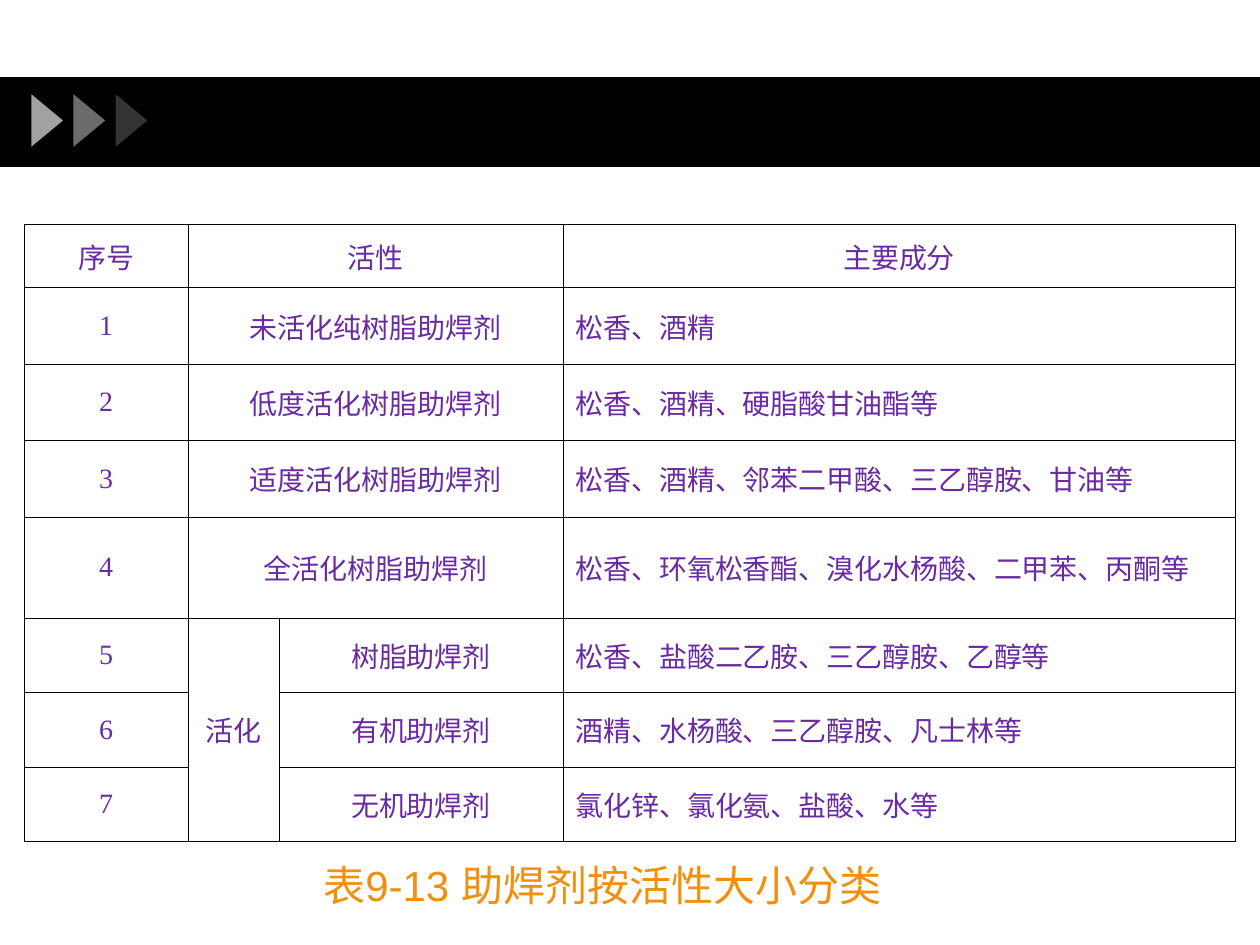
"""Build the slide that classifies soldering fluxes by activity."""
import dataclasses

import lxml.etree
import pptx
import pptx.dml.color
import pptx.enum.shapes
import pptx.enum.text
import pptx.oxml.ns
import pptx.util

Cm = pptx.util.Cm
Shape = pptx.enum.shapes.MSO_SHAPE
Align = pptx.enum.text.PP_ALIGN
Anchor = pptx.enum.text.MSO_ANCHOR
qn = pptx.oxml.ns.qn


@dataclasses.dataclass(frozen=True)
class Theme:
    band: str = "000000"
    arrow: str = "C0C0C0"
    rule: str = "000000"
    table_text: str = "692AA2"
    caption_text: str = "F1900F"
    table_font: str = "Times New Roman"
    caption_font: str = "Arial"
    table_size: int = 16
    caption_size: int = 24
    thin: float = 0.34
    thick: float = 0.96


def rgb(color):
    return pptx.dml.color.RGBColor.from_string(color)


def write_text(frame, text, *, font, size, color, align=Align.LEFT):
    para = frame.paragraphs[0]
    para.alignment = align
    span = para.add_run()
    span.text = text
    span.font.name = font
    span.font.size = pptx.util.Pt(size)
    span.font.color.rgb = rgb(color)


class SlideBuilder:
    def __init__(self, page, theme):
        self.page = page
        self.theme = theme

    def shape(self, kind, left, top, width, height, color, rotation=0, alpha=None):
        shape = self.page.shapes.add_shape(kind, Cm(left), Cm(top), Cm(width), Cm(height))
        shape.shadow.inherit = False
        shape.rotation = rotation
        shape.fill.solid()
        shape.fill.fore_color.rgb = rgb(color)
        shape.line.fill.background()
        if alpha is not None:
            tint = shape.fill._xPr.find(".//" + qn("a:srgbClr"))
            lxml.etree.SubElement(tint, qn("a:alpha"), val=str(alpha * 1000))
        return shape

    def border(self, cell, side, width):
        properties = cell._tc.get_or_add_tcPr()
        line = lxml.etree.SubElement(properties, qn("a:ln" + side), w=str(pptx.util.Pt(width)))
        fill = lxml.etree.SubElement(line, qn("a:solidFill"))
        lxml.etree.SubElement(fill, qn("a:srgbClr"), val=self.theme.rule)

    def table(self, left, top, widths, heights, rows, merges):
        theme = self.theme
        table = self.page.shapes.add_table(
            len(heights), len(widths), Cm(left), Cm(top), Cm(sum(widths)), Cm(sum(heights))
        ).table
        table.first_row = table.horz_banding = False
        for column, width in zip(table.columns, widths):
            column.width = Cm(width)
        for row, height in zip(table.rows, heights):
            row.height = Cm(height)
        last_row, last_column = len(heights) - 1, len(widths) - 1
        for i, texts in enumerate(rows):
            for j, text in enumerate(texts):
                cell = table.cell(i, j)
                bottom_row = merges.get((i, j), (i, j))[0]
                outer = {"T": i == 0, "B": bottom_row == last_row}
                for side in "LRTB":
                    self.border(cell, side, theme.thick if outer.get(side) else theme.thin)
                cell.fill.background()
                cell.vertical_anchor = Anchor.MIDDLE
                if text:
                    centred = i == 0 or j < last_column
                    write_text(cell.text_frame, text, font=theme.table_font,
                               size=theme.table_size, color=theme.table_text,
                               align=Align.CENTER if centred else Align.LEFT)
        for first, last in merges.items():
            table.cell(*first).merge(table.cell(*last))

    def caption(self, left, top, width, height, text):
        box = self.page.shapes.add_textbox(Cm(left), Cm(top), Cm(width), Cm(height))
        box.text_frame.word_wrap = False
        box.text_frame.vertical_anchor = Anchor.MIDDLE
        write_text(box.text_frame, text, font=self.theme.caption_font,
                   size=self.theme.caption_size, color=self.theme.caption_text,
                   align=Align.CENTER)


FLUXES = [
    ("序号", "活性", "", "主要成分"),
    ("1", "未活化纯树脂助焊剂", "", "松香、酒精"),
    ("2", "低度活化树脂助焊剂", "", "松香、酒精、硬脂酸甘油酯等"),
    ("3", "适度活化树脂助焊剂", "", "松香、酒精、邻苯二甲酸、三乙醇胺、甘油等"),
    ("4", "全活化树脂助焊剂", "", "松香、环氧松香酯、溴化水杨酸、二甲苯、丙酮等"),
    ("5", "活化", "树脂助焊剂", "松香、盐酸二乙胺、三乙醇胺、乙醇等"),
    ("6", "", "有机助焊剂", "酒精、水杨酸、三乙醇胺、凡士林等"),
    ("7", "", "无机助焊剂", "氯化锌、氯化氨、盐酸、水等"),
]


def main():
    deck = pptx.Presentation()
    deck.slide_width, deck.slide_height = Cm(25.4), Cm(19.05)
    theme = Theme()
    builder = SlideBuilder(deck.slides.add_slide(deck.slide_layouts[6]), theme)

    band = builder.shape(Shape.RECTANGLE, 0, 1.56, 25.4, 1.8, theme.band)
    band.line.color.rgb = rgb(theme.band)
    band.line.width = pptx.util.Pt(0.75)
    for index, alpha in enumerate((84, 56, 27)):
        builder.shape(Shape.ISOSCELES_TRIANGLE, 0.42 + 0.85 * index, 2.11, 1.06, 0.64,
                      theme.arrow, rotation=90, alpha=alpha)

    merges = {(i, 1): (i, 2) for i in range(5)}
    merges[5, 1] = (7, 1)
    builder.table(0.49, 4.53, (3.3, 1.83, 5.73, 13.55),
                  (1.27, *[1.54] * 3, 2.04, *[1.5] * 3), FLUXES, merges)
    builder.caption(5.14, 17.2, 14, 1.27, "表9-13 助焊剂按活性大小分类")
    deck.save("out.pptx")


if __name__ == "__main__":
    main()
